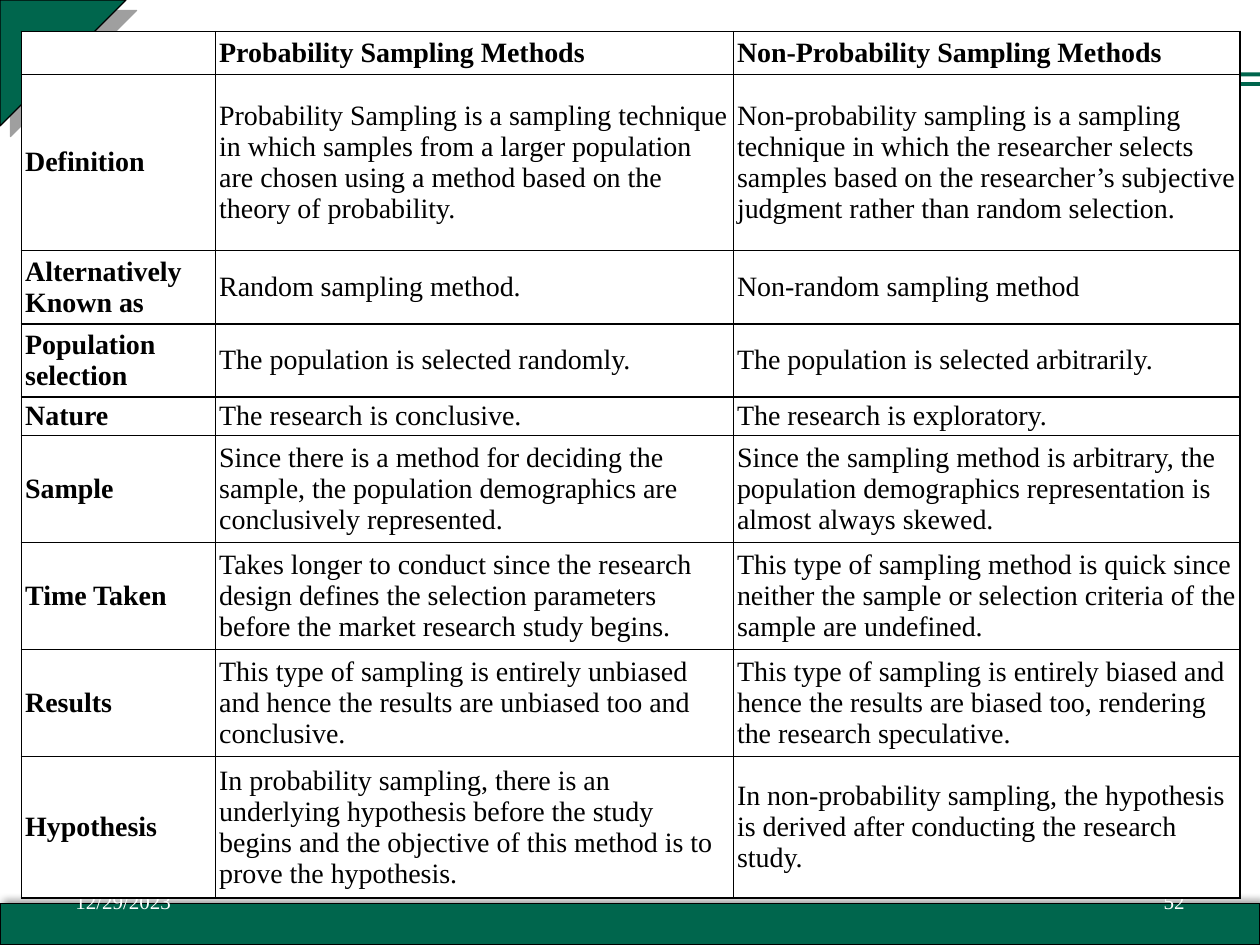
from pptx import Presentation
from pptx import util as u
from pptx.dml.color import RGBColor
from pptx.enum import shapes, text
from pptx.oxml import parse_xml
from pptx.oxml.ns import nsdecls, qn
from lxml import etree

GREEN = RGBColor(0x00, 0x66, 0x4D)
BLACK = RGBColor(0x00, 0x00, 0x00)
GRAY = RGBColor(0x80, 0x80, 0x80)
WHITE = RGBColor(0xFF, 0xFF, 0xFF)
FONT = "Times New Roman"

COLUMN_WIDTHS = [1.54, 4.11, 4.02]
ROW_HEIGHTS = [0.3, 1.4, 0.58, 0.58, 0.3, 0.85, 0.85, 0.85, 1.12]
COMPARISON = [
    ("", "Probability Sampling Methods", "Non-Probability Sampling Methods"),
    ("Definition",
     "Probability Sampling is a sampling technique in which samples from a larger "
     "population are chosen using a method based on the theory of probability.",
     "Non-probability sampling is a sampling technique in which the researcher selects "
     "samples based on the researcher’s subjective judgment rather than random selection."),
    ("Alternatively Known as", "Random sampling method.", "Non-random sampling method"),
    ("Population selection", "The population is selected randomly.",
     "The population is selected arbitrarily."),
    ("Nature", "The research is conclusive.", "The research is exploratory."),
    ("Sample",
     "Since there is a method for deciding the sample, the population demographics are "
     "conclusively represented.",
     "Since the sampling method is arbitrary, the population demographics representation "
     "is almost always skewed."),
    ("Time Taken",
     "Takes longer to conduct since the research design defines the selection parameters "
     "before the market research study begins.",
     "This type of sampling method is quick since neither the sample or selection criteria "
     "of the sample are undefined."),
    ("Results",
     "This type of sampling is entirely unbiased and hence the results are unbiased too "
     "and conclusive.",
     "This type of sampling is entirely biased and hence the results are biased too, "
     "rendering the research speculative."),
    ("Hypothesis",
     "In probability sampling, there is an underlying hypothesis before the study begins "
     "and the objective of this method is to prove the hypothesis.",
     "In non-probability sampling, the hypothesis is derived after conducting the research "
     "study."),
]


def add_run(paragraph, words, size, color, bold=False):
    run = paragraph.add_run()
    run.text = words
    run.font.name = FONT
    run.font.size = u.Pt(size)
    run.font.bold = bold
    run.font.color.rgb = color


def add_green_shape(slide, preset, left, top, width, height, rotation=0):
    ornament = slide.shapes.add_shape(
        preset, u.Inches(left), u.Inches(top), u.Inches(width), u.Inches(height))
    ornament.rotation = rotation
    ornament.fill.solid()
    ornament.fill.fore_color.rgb = GREEN
    ornament.line.color.rgb = BLACK
    ornament.line.width = u.Pt(0.75)
    ornament.shadow.inherit = False
    return ornament


def cast_shadow(ornament, color, opacity, blur, distance, angle):
    effects = ornament.element.spPr.find(qn("a:effectLst"))
    effects.append(parse_xml(
        f'<a:outerShdw {nsdecls("a")} blurRad="{u.Pt(blur)}" dist="{u.Pt(distance)}" '
        f'dir="{angle * 60000}" algn="ctr" rotWithShape="0"><a:srgbClr val="{color}">'
        f'<a:alpha val="{opacity * 1000}"/></a:srgbClr></a:outerShdw>'))


def add_rule(slide, start_y, end_y):
    rule = slide.shapes.add_connector(
        shapes.MSO_CONNECTOR.STRAIGHT,
        u.Inches(0.58), u.Inches(start_y), u.Inches(10), u.Inches(end_y))
    rule.line.color.rgb = GREEN
    rule.line.width = u.Pt(2.25)
    etree.SubElement(rule.element.spPr, qn("a:effectLst"))


def add_footer(slide, left, words, alignment):
    footer = slide.shapes.add_textbox(
        u.Inches(left), u.Inches(6.95), u.Inches(2.33), u.Inches(0.4))
    frame = footer.text_frame
    frame.word_wrap = True
    frame.vertical_anchor = text.MSO_ANCHOR.MIDDLE
    frame.paragraphs[0].alignment = alignment
    add_run(frame.paragraphs[0], words, 12, WHITE)


def add_borders(cell):
    properties = cell._tc.get_or_add_tcPr()
    for side in ("lnL", "lnR", "lnT", "lnB"):
        properties.append(parse_xml(
            f'<a:{side} {nsdecls("a")} w="{u.Pt(1)}"><a:solidFill>'
            f'<a:srgbClr val="{BLACK}"/></a:solidFill></a:{side}>'))


def fill_cell(cell, words, bold):
    add_borders(cell)
    cell.fill.solid()
    cell.fill.fore_color.rgb = WHITE
    cell.margin_left = cell.margin_right = u.Inches(0.03)
    cell.margin_top = cell.margin_bottom = u.Inches(0.02)
    cell.vertical_anchor = text.MSO_ANCHOR.MIDDLE
    add_run(cell.text_frame.paragraphs[0], words, 16, BLACK, bold)


def add_comparison(slide):
    table = slide.shapes.add_table(
        len(ROW_HEIGHTS), len(COLUMN_WIDTHS), u.Inches(0.17), u.Inches(0.25),
        u.Inches(sum(COLUMN_WIDTHS)), u.Inches(sum(ROW_HEIGHTS))).table
    for column, width in zip(table.columns, COLUMN_WIDTHS):
        column.width = u.Inches(width)
    for row, height, entries in zip(table.rows, ROW_HEIGHTS, COMPARISON):
        row.height = u.Inches(height)
        for position, (cell, words) in enumerate(zip(row.cells, entries)):
            fill_cell(cell, words, entries is COMPARISON[0] or position == 0)


def main():
    deck = Presentation()
    deck.slide_width, deck.slide_height = u.Inches(10), u.Inches(7.5)
    slide = deck.slides.add_slide(deck.slide_layouts[6])
    band = add_green_shape(slide, shapes.MSO_SHAPE.RECTANGLE, 0, 7.17, 10, 0.33)
    cast_shadow(band, BLACK, 40, 4, 3, 315)
    corner = add_green_shape(slide, shapes.MSO_SHAPE.RIGHT_TRIANGLE, 0, 0, 1, 1, 90)
    cast_shadow(corner, GRAY, 75, 0, 8.5, 45)
    add_rule(slide, 0.67, 0.67)
    add_rule(slide, 0.58, 0.59)
    add_footer(slide, 0.5, "12/29/2023", text.PP_ALIGN.LEFT)
    add_footer(slide, 7.17, "52", text.PP_ALIGN.RIGHT)
    add_comparison(slide)
    deck.save("out.pptx")


if __name__ == "__main__":
    main()
